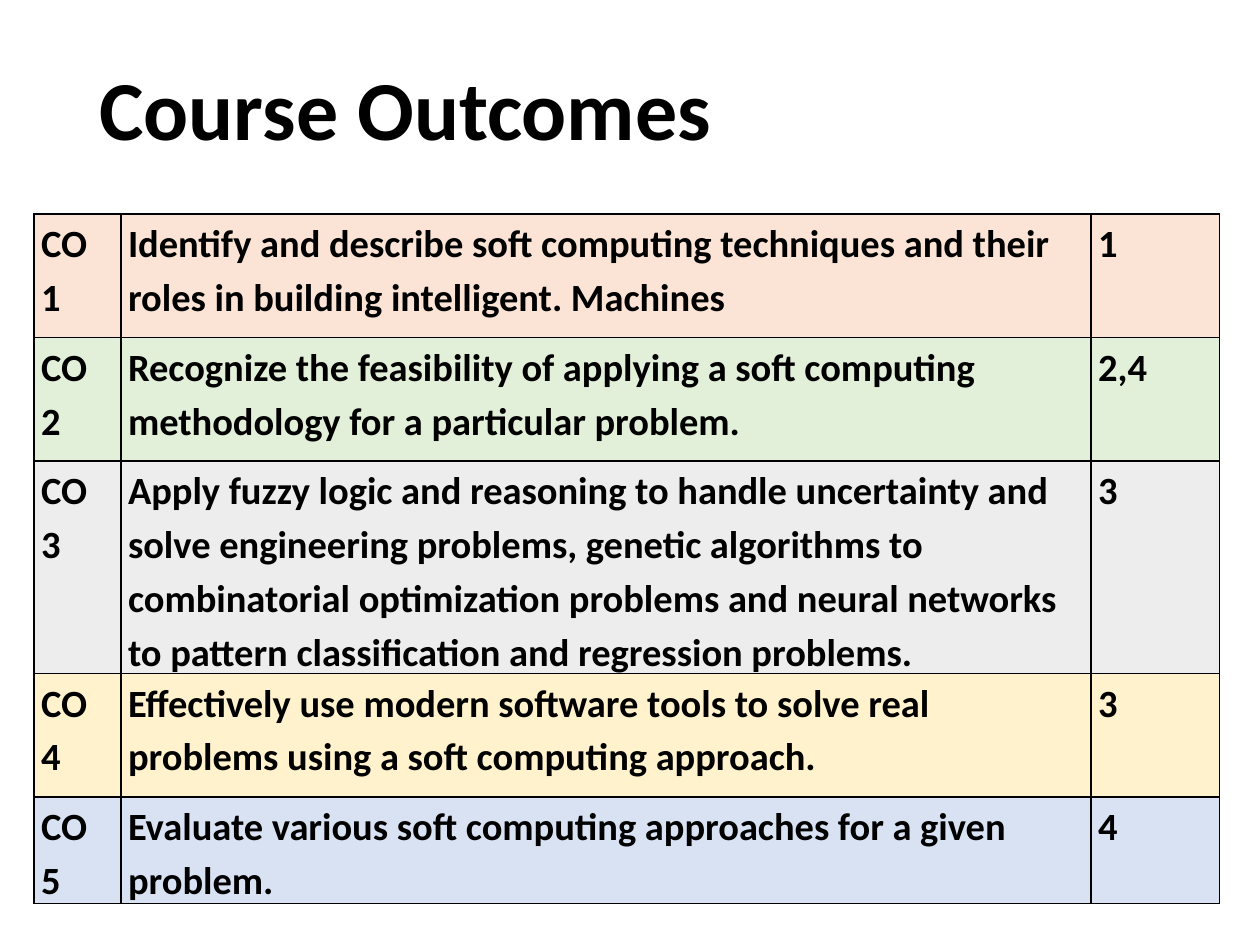
import pptx
import pptx.dml.color
import pptx.enum.text
import pptx.oxml
import pptx.oxml.ns
import pptx.util

Pt = pptx.util.Pt
RGB = pptx.dml.color.RGBColor
ANCHOR = pptx.enum.text.MSO_ANCHOR

BLACK = RGB(0x00, 0x00, 0x00)
PEACH = RGB(0xFB, 0xE4, 0xD5)
GREEN = RGB(0xE2, 0xEF, 0xD9)
GREY = RGB(0xED, 0xED, 0xED)
YELLOW = RGB(0xFF, 0xF2, 0xCC)
BLUE = RGB(0xD9, 0xE2, 0xF3)

# Row height, fill, code, outcome, level
ROWS = [
    (70.6, PEACH, "CO 1", "Identify and describe soft computing techniques and "
     "their roles in building intelligent. Machines", "1"),
    (70.6, GREEN, "CO 2", "Recognize the feasibility of applying a soft computing "
     "methodology for a particular problem.", "2,4"),
    (117.4, GREY, "CO 3", "Apply fuzzy logic and reasoning to handle uncertainty and "
     "solve engineering problems, genetic algorithms to combinatorial optimization "
     "problems and neural networks to pattern classification and regression "
     "problems.", "3"),
    (70.6, YELLOW, "CO 4", "Effectively use modern software tools to solve real "
     "problems using a soft computing approach.", "3"),
    (46.8, BLUE, "CO 5", "Evaluate various soft computing approaches for a given "
     "problem.", "4"),
]
COLS = [49.7, 554.4, 73.4]


def write(frame, text, size, line=1.0, after=0):
    frame.word_wrap = True
    para = frame.paragraphs[0]
    para.line_spacing = line
    para.space_after = Pt(after)
    run = para.add_run()
    run.text = text
    run.font.name = "Calibri"
    run.font.size = Pt(size)
    run.font.bold = True
    run.font.color.rgb = BLACK


def border(cell):
    props = cell._tc.get_or_add_tcPr()
    for spot, side in enumerate(("lnL", "lnR", "lnT", "lnB")):
        props.insert(spot, pptx.oxml.parse_xml(
            f'<a:{side} {pptx.oxml.ns.nsdecls("a")} w="{Pt(1)}">'
            f'<a:solidFill><a:srgbClr val="{BLACK}"/></a:solidFill></a:{side}>'))


def title(slide, left, top, width, height):
    box = slide.shapes.add_textbox(Pt(left), Pt(top), Pt(width), Pt(height))
    box.text_frame.vertical_anchor = ANCHOR.BOTTOM
    write(box.text_frame, "Course Outcomes", 48, line=0.9)


def outcomes(slide, left, top):
    height = sum(row[0] for row in ROWS)
    table = slide.shapes.add_table(len(ROWS), len(COLS), Pt(left), Pt(top),
                                   Pt(sum(COLS)), Pt(height)).table
    table.first_row = table.horz_banding = False
    for col, width in zip(table.columns, COLS):
        col.width = Pt(width)
    for row, (height, fill, *texts) in zip(table.rows, ROWS):
        row.height = Pt(height)
        for col, (cell, text) in enumerate(zip(row.cells, texts)):
            cell.margin_left = cell.margin_right = Pt(4.1)
            cell.margin_top = cell.margin_bottom = 0
            cell.fill.solid()
            cell.fill.fore_color.rgb = fill
            border(cell)
            write(cell.text_frame, text, 22, line=1.15, after=0 if col == 1 else 10)


def main():
    deck = pptx.Presentation()
    deck.slide_width, deck.slide_height = Pt(720), Pt(540)
    slide = deck.slides.add_slide(deck.slide_layouts[6])
    # Heading
    title(slide, 49.7, 36, 398, 58.3)
    # Table of outcomes
    outcomes(slide, 19.4, 122.4)
    deck.save("out.pptx")


if __name__ == "__main__":
    main()
